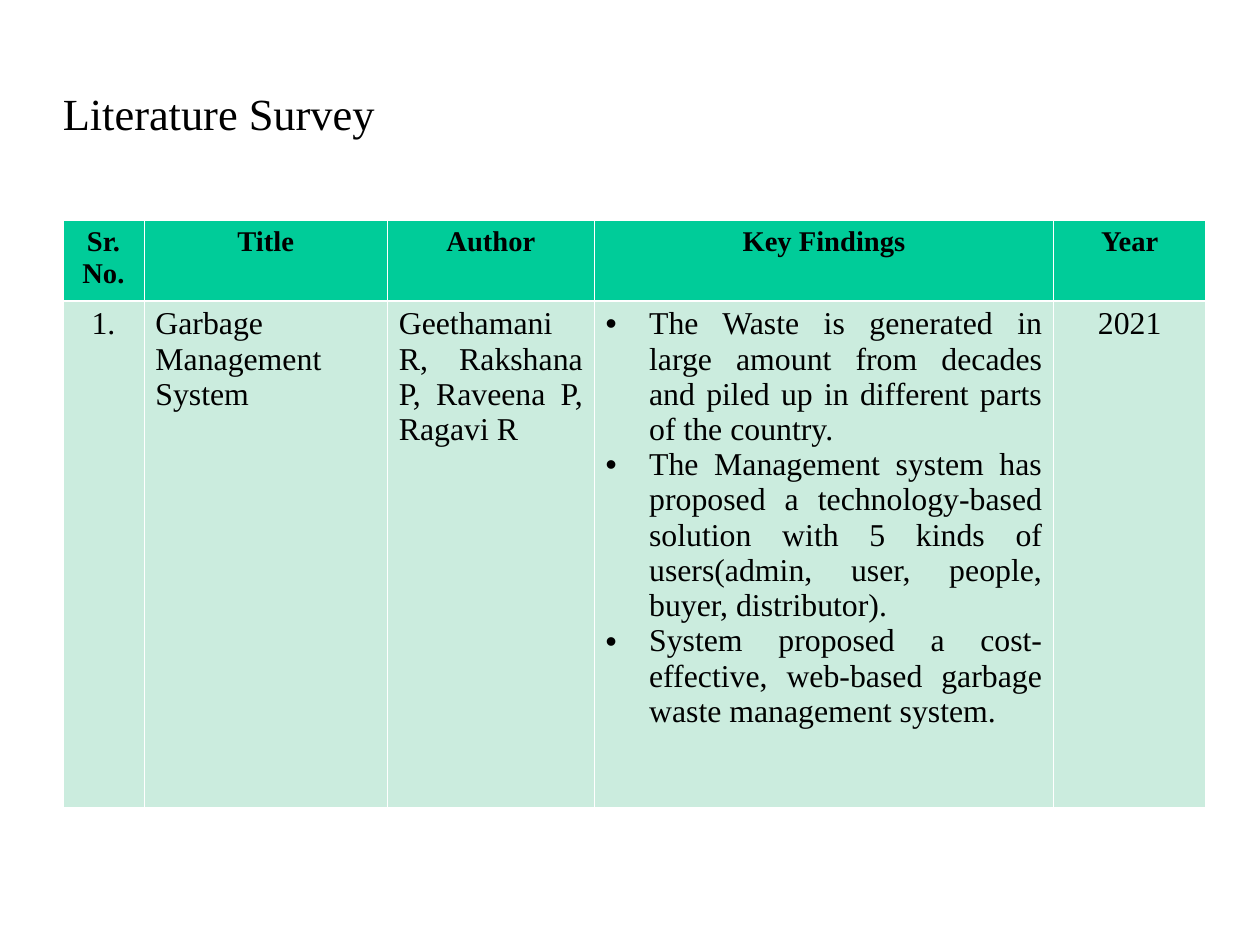
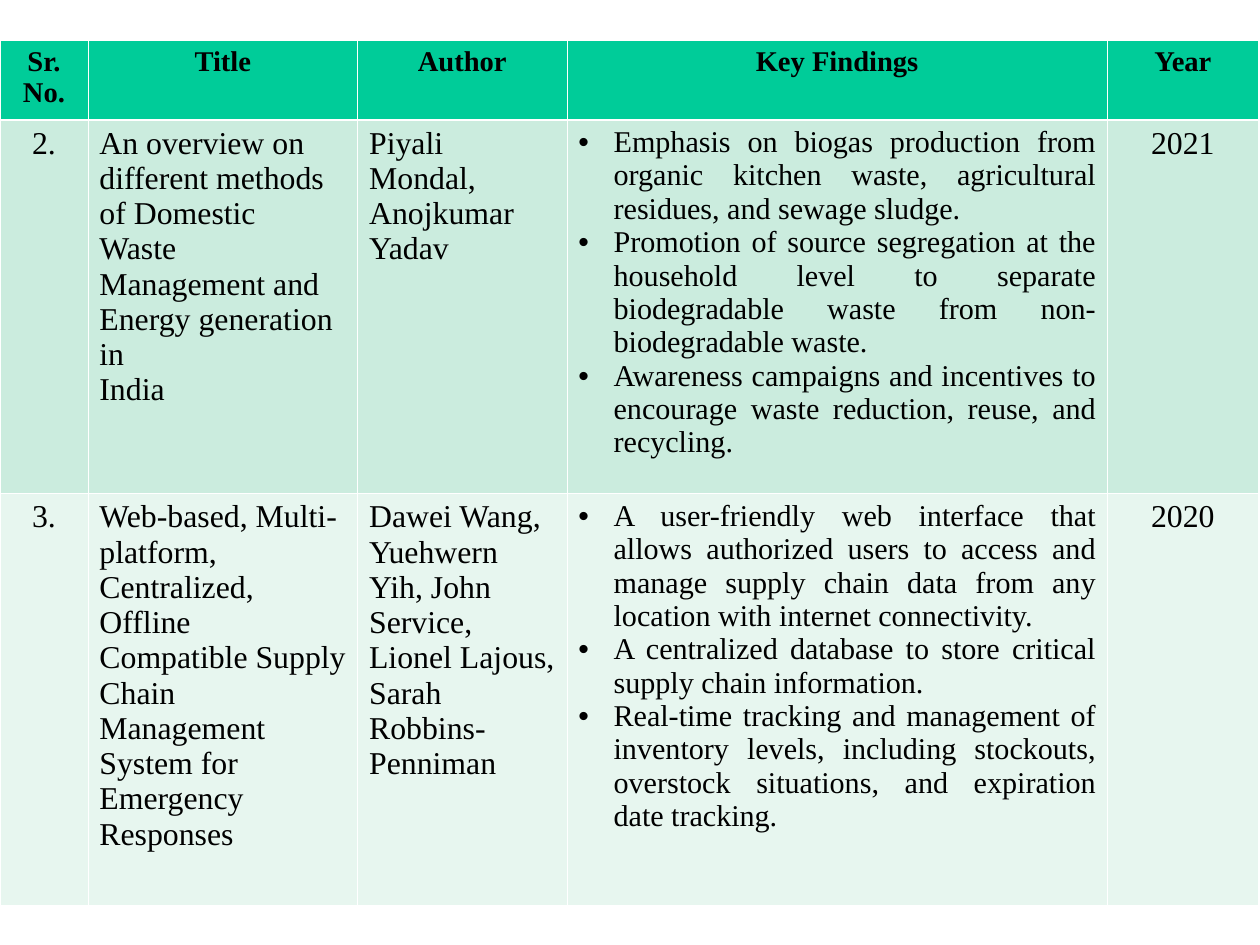
import pptx
import pptx.util
import pptx.dml.color
import pptx.enum.text
import pptx.oxml.ns
import lxml.etree

Inches = pptx.util.Inches
Pt = pptx.util.Pt
Align = pptx.enum.text.PP_ALIGN
Anchor = pptx.enum.text.MSO_ANCHOR

WIDE, HIGH = pptx.util.Emu(10080625), pptx.util.Emu(7559675)
FONT = "Times New Roman"
HUES = {
    "ink": "000000",
    "line": "FFFFFF",
    "head": "00CC99",
    "odd": "CBECDE",
    "even": "E7F6EF",
}
THIN, THICK = 0.45, 1.47
HEADS = ["Sr. No.", "Title", "Author", "Key Findings", "Year"]

PAGES = [
    {
        "title": "Literature Survey",
        "at": (0.55, 1.93),
        "cols": [0.71, 2.13, 1.81, 4.02, 1.33],
        "rows": [0.7, 4.43],
        "names": Align.JUSTIFY,
        "size": 20,
        "indent": 0.38,
        "works": [
            (
                ["1."],
                ["Garbage Management System"],
                ["Geethamani R, Rakshana P, Raveena P, Ragavi R"],
                [
                    "The Waste is generated in large amount from decades and piled up in different parts of the country.",
                    "The Management system has proposed a technology-based solution with 5 kinds of users(admin, user, people, buyer, distributor).",
                    "System proposed a cost-effective, web-based garbage waste management system.",
                ],
                ["2021"],
            ),
        ],
    },
    {
        "title": None,
        "at": (0, 0.35),
        "cols": [0.77, 2.36, 1.83, 4.73, 1.32],
        "rows": [0.7, 3.27, 3.6],
        "names": Align.LEFT,
        "size": 19,
        "indent": 0.31,
        "works": [
            (
                ["2."],
                [
                    "An overview on different methods of Domestic",
                    "Waste Management and Energy generation in",
                    "India",
                ],
                ["Piyali Mondal, Anojkumar Yadav"],
                [
                    "Emphasis on biogas production from organic kitchen waste, agricultural residues, and sewage sludge.",
                    "Promotion of source segregation at the household level to separate biodegradable waste from non-biodegradable waste.",
                    "Awareness campaigns and incentives to encourage waste reduction, reuse, and recycling.",
                ],
                ["2021"],
            ),
            (
                ["3."],
                ["Web-based, Multi-platform, Centralized, Offline Compatible Supply Chain Management System for Emergency Responses"],
                ["Dawei Wang, Yuehwern Yih, John Service, Lionel Lajous, Sarah Robbins-Penniman"],
                [
                    "A user-friendly web interface that allows authorized users to access and manage supply chain data from any location with internet connectivity.",
                    "A centralized database to store critical supply chain information.",
                    "Real-time tracking and management of inventory levels, including stockouts, overstock situations, and expiration date tracking.",
                ],
                ["2020"],
            ),
        ],
    },
]


def color(name):
    return pptx.dml.color.RGBColor.from_string(HUES[name])


def node(root, tag, **attrs):
    return lxml.etree.SubElement(root, pptx.oxml.ns.qn(tag), **attrs)


def tint(root, name):
    node(node(root, "a:solidFill"), "a:srgbClr", val=HUES[name])


def write(frame, lines, size=20, bold=False, align=Align.LEFT, indent=0, space=None):
    frame.word_wrap = True
    for num, line in enumerate(lines):
        para = frame.add_paragraph() if num else frame.paragraphs[0]
        para.alignment = align
        if space:
            para.line_spacing = space
        if indent:
            props = para._p.get_or_add_pPr()
            props.set("marL", str(Inches(indent)))
            props.set("indent", str(-Inches(indent)))
            node(node(props, "a:buClr"), "a:srgbClr", val=HUES["ink"])
            node(props, "a:buFont", typeface="Arial")
            node(props, "a:buChar", char="•")
        run = para.add_run()
        run.text = line
        run.font.name = FONT
        run.font.size = Pt(size)
        run.font.bold = bold
        run.font.color.rgb = color("ink")


def border(cell, row):
    props = cell._tc.get_or_add_tcPr()
    wide = {"L": THIN, "R": THIN, "T": THICK if row == 1 else THIN, "B": THIN if row else THICK}
    for num, (side, width) in enumerate(wide.items()):
        line = node(props, "a:ln" + side, w=str(Pt(width)))
        tint(line, "line")
        props.insert(num, line)


def add_title(slide, text):
    box = slide.shapes.add_textbox(Inches(0.55), Inches(0.33), Inches(9.91), Inches(1.37))
    frame = box.text_frame
    frame.margin_left = frame.margin_right = frame.margin_top = frame.margin_bottom = 0
    frame.vertical_anchor = Anchor.MIDDLE
    write(frame, [text], size=28, space=0.93)


def add_survey(slide, page):
    cols, rows = page["cols"], page["rows"]
    left, top = page["at"]
    table = slide.shapes.add_table(
        len(rows), len(cols), Inches(left), Inches(top), Inches(sum(cols)), Inches(sum(rows))
    ).table
    for col, width in zip(table.columns, cols):
        col.width = Inches(width)
    for row, height in zip(table.rows, rows):
        row.height = Inches(height)
    forms = [
        {"align": Align.CENTER},
        {},
        {"align": page["names"]},
        {"align": Align.JUSTIFY, "size": page["size"], "indent": page["indent"]},
        {"align": Align.CENTER},
    ]
    top_form = {"align": Align.CENTER, "size": 18, "bold": True}
    grid = [[[head] for head in HEADS]] + page["works"]
    for num, work in enumerate(grid):
        fill = "head" if num == 0 else "odd" if num % 2 else "even"
        for pos, lines in enumerate(work):
            cell = table.cell(num, pos)
            cell.fill.solid()
            cell.fill.fore_color.rgb = color(fill)
            border(cell, num)
            write(cell.text_frame, lines, **(forms[pos] if num else top_form))


def main():
    deck = pptx.Presentation()
    deck.slide_width = WIDE
    deck.slide_height = HIGH
    for page in PAGES:
        slide = deck.slides.add_slide(deck.slide_layouts[6])
        if page["title"]:
            add_title(slide, page["title"])
        add_survey(slide, page)
    deck.save("out.pptx")


if __name__ == "__main__":
    main()
